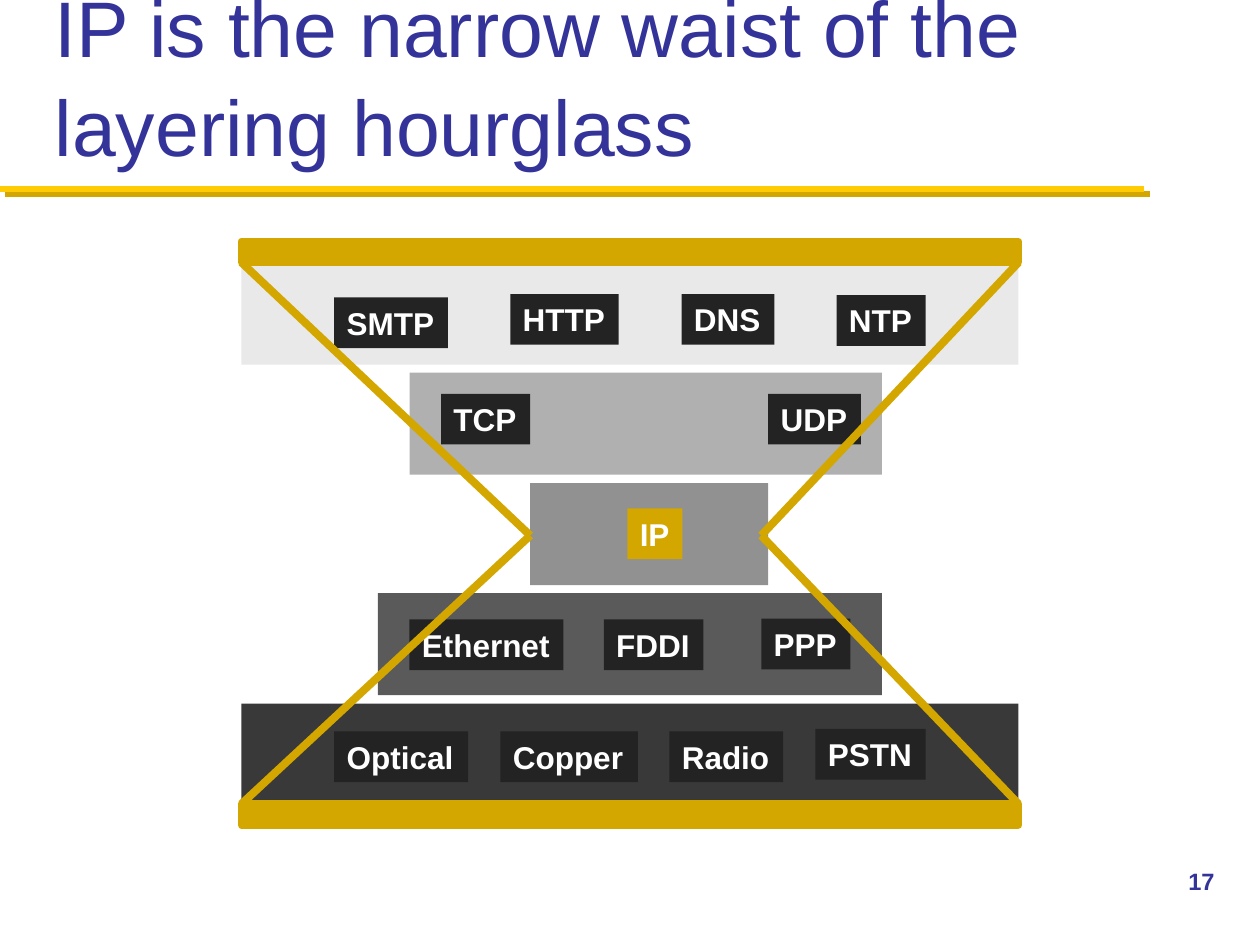
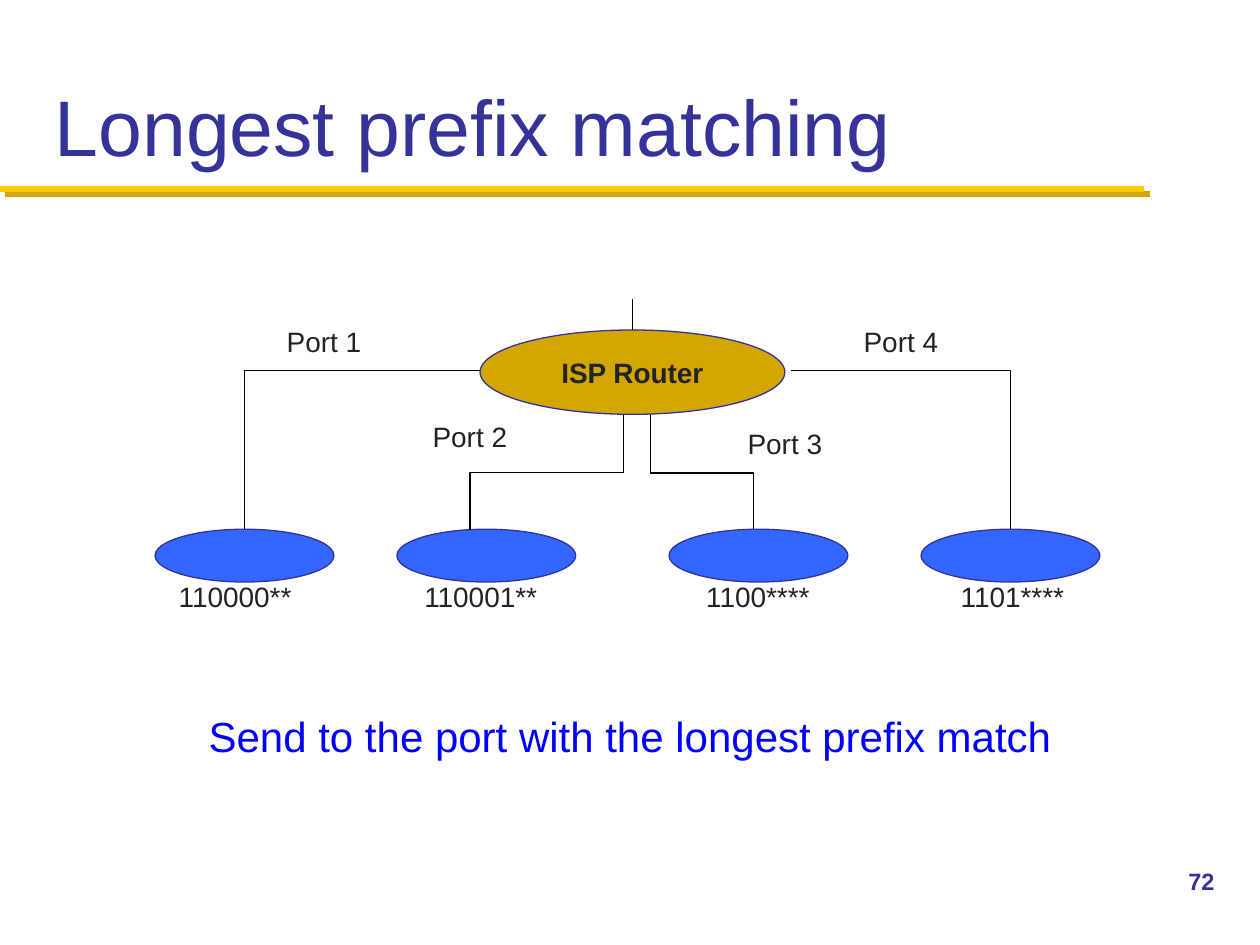
import pptx
import pptx.util
import pptx.dml.color
import pptx.enum.shapes
import pptx.enum.text
import pptx.oxml.ns
import lxml.etree

Pt = pptx.util.Pt
RGB = pptx.dml.color.RGBColor
SHAPE = pptx.enum.shapes.MSO_SHAPE
CONNECTOR = pptx.enum.shapes.MSO_CONNECTOR
ALIGN = pptx.enum.text.PP_ALIGN
ANCHOR = pptx.enum.text.MSO_ANCHOR
FIT = pptx.enum.text.MSO_AUTO_SIZE

NAVY = RGB(0x33, 0x33, 0x99)
GOLD = RGB(0xD3, 0xA6, 0x00)
YELLOW = RGB(0xFF, 0xCB, 0x05)
INK = RGB(0x23, 0x23, 0x23)
WHITE = RGB(0xFF, 0xFF, 0xFF)
BLACK = RGB(0x00, 0x00, 0x00)
ROYAL = RGB(0x33, 0x66, 0xFF)
BLUE = RGB(0x00, 0x00, 0xFF)

TITLE_FONT = {"size": Pt(45), "bold": False}
NUMBER_FONT = {"size": Pt(13.5), "bold": True}
CHIP_FONT = {"size": Pt(18), "bold": True}
LABEL_FONT = {"size": Pt(16), "bold": False}
ROUTER_FONT = {"size": Pt(16), "bold": True}
CAPTION_FONT = {"size": Pt(24), "bold": False}

# Per layer: left, width, fill, and chips as (text, left, top in layer, width)
LAYERS = [
    (0, 444, RGB(0xE9, 0xE9, 0xE9),
     [("SMTP", 53, 20, 65), ("HTTP", 153.6, 18, 62),
      ("DNS", 251.5, 18, 53), ("NTP", 340, 18.7, 51)]),
    (96, 270, RGB(0xB0, 0xB0, 0xB0),
     [("TCP", 114, 12, 51), ("UDP", 301, 12, 53)]),
    (165, 136, RGB(0x91, 0x91, 0x91), [("IP", 220.5, 14.5, 31.5)]),
    (78, 288, RGB(0x5A, 0x5A, 0x5A),
     [("Ethernet", 96, 15, 88), ("FDDI", 207, 15, 57), ("PPP", 297, 14.5, 51)]),
    (0, 444, RGB(0x39, 0x39, 0x39),
     [("Optical", 53, 16, 76.5), ("Copper", 148, 16, 78.5),
      ("Radio", 244.5, 16, 65), ("PSTN", 328, 14.5, 63)]),
]

# Label and its left and top
PORTS = [("Port 1", 80, 12), ("Port 2", 163.4, 66),
         ("Port 3", 343.4, 70), ("Port 4", 409.7, 12)]
# Prefix, its left, and the left of its network
NETWORKS = [("110000**", 0, 16.6), ("110001**", 140.4, 154.8),
            ("1100****", 298.8, 310.3), ("1101****", 444.2, 454.3)]
# Start, end, preset geometry, transform, bend position
LINKS = [
    ((206.6, 41.7), (67.7, 132.4), "bentConnector2", {"rot": 180, "flipV": 1}, None),
    ((284.4, 66.9), (196.6, 133.1), "bentConnector3", {"rot": 90}, 50000),
    ((380.2, 41.7), (505.4, 132.4), "bentConnector2", {}, None),
    ((299.5, 66.2), (358.6, 132.4), "bentConnector3", {"rot": 270, "flipH": 1}, 51500),
]


def write(frame, text, font, color, align=ALIGN.LEFT, wrap=True, anchor=ANCHOR.TOP):
    settings = {"text": text, "word_wrap": wrap, "vertical_anchor": anchor,
                "auto_size": FIT.NONE}
    for name, value in settings.items():
        setattr(frame, name, value)
    paragraph = frame.paragraphs[0]
    paragraph.alignment = align
    for name, value in {"name": "Arial", **font}.items():
        setattr(paragraph.font, name, value)
    paragraph.font.color.rgb = color


def add_label(slide, box, text, font, color, align=ALIGN.CENTER):
    label = slide.shapes.add_textbox(*map(Pt, box))
    write(label.text_frame, text, font, color, align)


def add_solid(slide, kind, box, fill, outline=None, weight=0.75):
    solid = slide.shapes.add_shape(kind, *map(Pt, box))
    solid.shadow.inherit = False
    solid.fill.solid()
    solid.fill.fore_color.rgb = fill
    if outline is None:
        solid.line.fill.background()
    else:
        solid.line.color.rgb = outline
        solid.line.width = Pt(weight)
    return solid


def add_line(slide, start, end, color, weight, kind=CONNECTOR.STRAIGHT):
    line = slide.shapes.add_connector(kind, *map(Pt, (*start, *end)))
    line.line.color.rgb = color
    line.line.width = Pt(weight)
    lxml.etree.SubElement(line._element.spPr, pptx.oxml.ns.qn("a:effectLst"))
    return line


def add_elbow(slide, start, end, preset, turn, bend):
    """Bent line; a quarter turn swaps the sides of its frame."""
    (x1, y1), (x2, y2) = start, end
    width, height = abs(x2 - x1), abs(y2 - y1)
    if turn.get("rot") in (90, 270):
        width, height = height, width
    left, top = (x1 + x2 - width) / 2, (y1 + y2 - height) / 2
    elbow = add_line(slide, (left, top), (left + width, top + height),
                     BLACK, 0.75, CONNECTOR.ELBOW)
    properties = elbow._element.spPr
    for name, value in turn.items():
        properties.xfrm.set(name, str(value * 60000 if name == "rot" else value))
    geometry = properties.find(pptx.oxml.ns.qn("a:prstGeom"))
    geometry.set("prst", preset)
    if bend:
        guides = geometry.find(pptx.oxml.ns.qn("a:avLst"))
        guide = lxml.etree.SubElement(guides, pptx.oxml.ns.qn("a:gd"))
        guide.set("name", "adj1")
        guide.set("fmla", f"val {bend}")


def add_page(deck, heading, number):
    """Slide with the shared title, double rule and page number."""
    slide = deck.slides.add_slide(deck.slide_layouts[5])
    add_line(slide, (3, 111), (657, 111), GOLD, 3.5)
    add_line(slide, (0, 108), (654, 108), YELLOW, 3.5)
    title = slide.shapes.title
    frame = {"left": 24, "top": 12, "width": 672, "height": 90}
    for name, value in frame.items():
        setattr(title, name, Pt(value))
    write(title.text_frame, heading, TITLE_FONT, NAVY, anchor=ANCHOR.BOTTOM)
    title.text_frame.paragraphs[0].line_spacing = 1.05
    add_label(slide, (672, 492, 48, 36), number, NUMBER_FONT, NAVY, ALIGN.LEFT)
    return slide


def draw_hourglass(slide, box):
    left, top, width, height = box
    cap, pitch, layer_height, chip_height = 12, 63, 58.3, 29
    for row, (x, layer_width, fill, chips) in enumerate(LAYERS):
        layer_top = top + cap + row * pitch
        add_solid(slide, SHAPE.RECTANGLE,
                  (left + x, layer_top, layer_width, layer_height), fill)
        for text, chip_x, chip_y, chip_width in chips:
            chip = add_solid(slide, SHAPE.RECTANGLE,
                             (left + chip_x, layer_top + chip_y, chip_width, chip_height),
                             GOLD if text == "IP" else INK)
            write(chip.text_frame, text, CHIP_FONT, WHITE, wrap=False)
    waist_y = top + 168
    cap_edges = (top + cap, top + height - cap)
    for corner_x, waist_x in ((left, left + 165), (left + width, left + 297)):
        for edge in cap_edges:
            add_line(slide, (corner_x, edge), (waist_x, waist_y), GOLD, 4.5)
    for cap_top in (top, cap_edges[1]):
        add_solid(slide, SHAPE.RECTANGLE, (left, cap_top, width, cap), GOLD, GOLD, 4.5)


def draw_router_tree(slide, left, top):
    def shift(x, y):
        return left + x, top + y

    for prefix, label_x, network_x in NETWORKS:
        add_solid(slide, SHAPE.OVAL, (*shift(network_x, 132.4), 102.2, 30.2), ROYAL, NAVY)
        add_label(slide, (*shift(label_x, 157.6), 124.6, 26.6), prefix, LABEL_FONT, INK)
    for start, end, preset, turn, bend in LINKS:
        add_elbow(slide, shift(*start), shift(*end), preset, turn, bend)
    router = add_solid(slide, SHAPE.OVAL, (*shift(202.3, 18.6), 174.2, 48.2), GOLD, NAVY)
    write(router.text_frame, "ISP Router", ROUTER_FONT, INK, ALIGN.CENTER,
          wrap=False, anchor=ANCHOR.MIDDLE)
    add_line(slide, shift(289.4, 0.6), shift(289.4, 18.6), BLACK, 0.75)
    for port, x, y in PORTS:
        add_label(slide, (*shift(x, y), 66.2, 26.6), port, LABEL_FONT, INK)


def main():
    deck = pptx.Presentation()
    deck.slide_width, deck.slide_height = Pt(720), Pt(540)
    waist = add_page(deck, "IP is the narrow waist of the layering hourglass", "17")
    draw_hourglass(waist, (138, 138, 444, 333.4))
    matching = add_page(deck, "Longest prefix matching", "72")
    draw_router_tree(matching, 72, 170)
    add_label(matching, (34.6, 402.5, 650.8, 36),
              "Send to the port with the longest prefix match", CAPTION_FONT, BLUE)
    deck.save("out.pptx")


if __name__ == "__main__":
    main()
